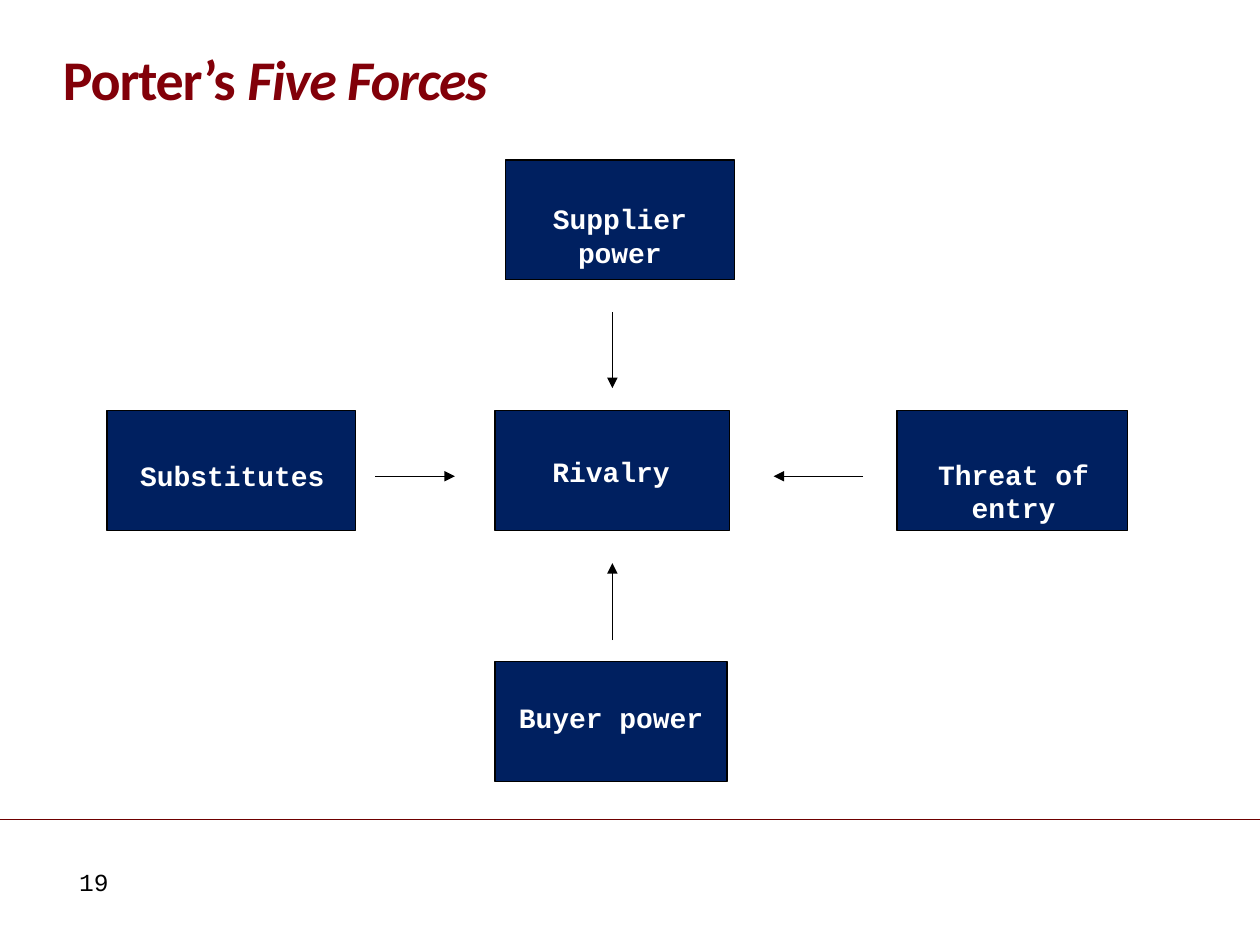
from lxml import etree
from pptx import Presentation
from pptx.dml.color import RGBColor
from pptx.enum import shapes, text
from pptx.oxml.ns import qn
from pptx.util import Inches, Pt

NAVY = RGBColor(0x00, 0x20, 0x60)
MAROON = RGBColor(0x82, 0x00, 0x09)
RULE = RGBColor(0x6E, 0x00, 0x00)
BLACK = RGBColor(0, 0, 0)
WHITE = RGBColor(255, 255, 255)

BOX_H, LABEL_H = 0.95, 0.37
MID_Y, ARROW_X, ARROW_Y = 3.26, 4.86, 3.78

# label, box left, box top, width, label left, label top
FORCES = [
    ("Rivalry", 3.93, MID_Y, 1.86, 3.92, 3.56),
    ("Supplier power", 4.01, 1.27, 1.82, 4.01, 1.55),
    ("Buyer power", 3.93, 5.25, 1.84, 3.93, 5.51),
    ("Threat of entry", 7.12, MID_Y, 1.83, 7.13, 3.58),
    ("Substitutes", 0.85, MID_Y, 1.97, 0.86, 3.59),
]
# start and end points, all pointing at the centre
ARROWS = [
    (2.98, ARROW_Y, 3.61, ARROW_Y),
    (ARROW_X, 2.48, ARROW_X, 3.08),
    (ARROW_X, 5.08, ARROW_X, 4.47),
    (6.85, ARROW_Y, 6.14, ARROW_Y),
]


def add_text(s, runs, x, y, w, h, size=16, font="Courier New", color=WHITE,
             bold=False, align=text.PP_ALIGN.CENTER,
             anchor=text.MSO_ANCHOR.TOP, margin=None, grow=True,
             line_spacing=None, tracking=None):
    """Add a one-paragraph text box; runs is a list of (text, italic)."""
    tf = s.shapes.add_textbox(Inches(x), Inches(y), Inches(w), Inches(h)).text_frame
    tf.word_wrap = True
    tf.vertical_anchor = anchor
    if grow:
        tf.auto_size = text.MSO_AUTO_SIZE.SHAPE_TO_FIT_TEXT
    if margin is not None:
        tf.margin_left = tf.margin_right = Inches(margin)
        tf.margin_top = tf.margin_bottom = Inches(margin)
    p = tf.paragraphs[0]
    p.alignment = align
    p.line_spacing = line_spacing
    for words, italic in runs:
        r = p.add_run()
        r.text = words
        r.font.size, r.font.name = Pt(size), font
        r.font.bold, r.font.italic = bold, italic
        r.font.color.rgb = color
        if tracking is not None:
            r.font._element.set("spc", str(round(tracking * 100)))


def add_line(s, x1, y1, x2, y2, color=BLACK, width=0.75, arrow=False):
    c = s.shapes.add_connector(shapes.MSO_CONNECTOR.STRAIGHT,
                               Inches(x1), Inches(y1), Inches(x2), Inches(y2))
    c.line.color.rgb = color
    c.line.width = Pt(width)
    if arrow:
        etree.SubElement(c.line._get_or_add_ln(), qn("a:tailEnd"), type="triangle")
    etree.SubElement(c._element.spPr, qn("a:effectLst"))


def add_box(s, x, y, w, h):
    sp = s.shapes.add_shape(shapes.MSO_SHAPE.RECTANGLE,
                            Inches(x), Inches(y), Inches(w), Inches(h))
    sp.shadow.inherit = False
    sp.fill.solid()
    sp.fill.fore_color.rgb = NAVY
    sp.line.color.rgb = BLACK
    sp.line.width = Pt(0.75)


def main():
    prs = Presentation()
    prs.slide_width, prs.slide_height = Inches(10), Inches(7.5)
    s = prs.slides.add_slide(prs.slide_layouts[6])

    add_line(s, 0, 6.5, 10, 6.5, color=RULE, width=0.25)
    add_text(s, [("19", False)], 0.49, 6.83, 0.51, 0.34, size=14, color=BLACK)
    add_text(s, [("Porter’s ", False), ("Five Forces", True)], 0.5, 0.29, 9, 0.6,
             size=32, font="Calibri", color=MAROON, bold=True,
             align=text.PP_ALIGN.LEFT, anchor=text.MSO_ANCHOR.BOTTOM,
             margin=0, grow=False, line_spacing=0.9, tracking=-0.7)

    for label, x, y, w, label_x, label_y in FORCES:
        add_box(s, x, y, w, BOX_H)
        add_text(s, [(label, False)], label_x, label_y, w, LABEL_H, bold=True)
    for points in ARROWS:
        add_line(s, *points, arrow=True)

    prs.save("out.pptx")


if __name__ == "__main__":
    main()
